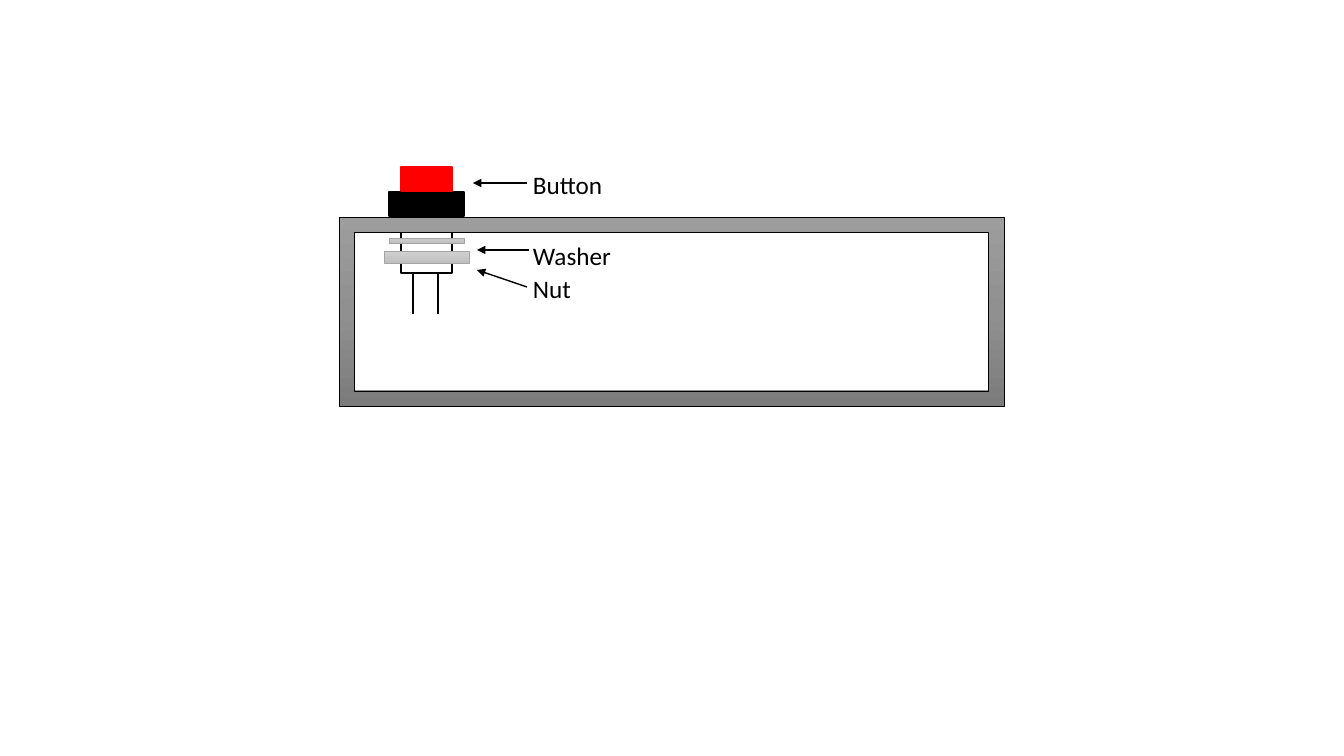
from copy import deepcopy
from dataclasses import dataclass

from lxml.etree import SubElement
from pptx import Presentation
from pptx.dml.color import RGBColor
from pptx.enum.shapes import MSO_CONNECTOR, MSO_SHAPE
from pptx.enum.text import MSO_AUTO_SIZE
from pptx.oxml.ns import qn
from pptx.util import Pt


def px(count):
    """Turn whole pixels into EMU."""
    return round(count * 914400 / 100.8)


@dataclass(frozen=True)
class Theme:
    """Colours, font and sizes of the diagram."""
    font: str = "Calibri"
    label_size: int = 18
    ink: str = "000000"
    cap: str = "FF0000"
    metal_edge: str = "A5A5A5"
    metal: tuple = ("D2D2D2", "C8C8C8", "C0C0C0")
    panel: tuple = ("9D9D9D", "909090", "7C7C7C")
    thin: float = 0.5
    regular: float = 1


class Diagram:
    """Draws themed elements on the current page."""

    def __init__(self, page, theme):
        self.page = page
        self.theme = theme

    def box(self, area, fill, edge, weight, kind=MSO_SHAPE.RECTANGLE):
        """Add a shape filled with one colour, a gradient or nothing."""
        box = self.page.shapes.add_shape(kind, *map(px, area))
        box.shadow.inherit = False
        if fill is None:
            box.fill.background()
        elif isinstance(fill, tuple):
            self.shade(box, fill)
        else:
            box.fill.solid()
            box.fill.fore_color.rgb = RGBColor.from_string(fill)
        box.line.color.rgb = RGBColor.from_string(edge)
        box.line.width = Pt(weight)
        return box

    def shade(self, box, colours):
        """Fill a shape with evenly spaced stops from top to bottom."""
        box.fill.gradient()
        box.fill.gradient_angle = 270
        stops = box.element.spPr.find(".//" + qn("a:gsLst"))
        stops.append(deepcopy(stops[0]))
        for index, stop in enumerate(box.fill.gradient_stops):
            stop.position = index / (len(colours) - 1)
            stop.color.rgb = RGBColor.from_string(colours[index])

    def terminals(self, area):
        """Add a one-cell table whose side borders are the two pins."""
        table = self.page.shapes.add_table(1, 1, *map(px, area)).table
        table.first_row = table.horz_banding = False
        cell = table.cell(0, 0)
        borders = cell._tc.get_or_add_tcPr()
        for side in ("L", "R", "T", "B"):
            border = SubElement(borders, qn(f"a:ln{side}"))
            if side in ("L", "R"):
                border.set("w", str(Pt(self.theme.regular)))
                fill = SubElement(border, qn("a:solidFill"))
                SubElement(fill, qn("a:srgbClr")).set("val", self.theme.ink)
            else:
                SubElement(border, qn("a:noFill"))
        cell.fill.background()

    def labels(self, area, entries):
        """Add a text box of labels, each with its gap above in points."""
        frame = self.page.shapes.add_textbox(*map(px, area)).text_frame
        frame.word_wrap = False
        frame.auto_size = MSO_AUTO_SIZE.SHAPE_TO_FIT_TEXT
        for index, (text, gap) in enumerate(entries):
            para = frame.add_paragraph() if index else frame.paragraphs[0]
            para.space_before = Pt(gap)
            span = para.add_run()
            span.text = text
            span.font.name = self.theme.font
            span.font.size = Pt(self.theme.label_size)
            span.font.color.rgb = RGBColor.from_string(self.theme.ink)

    def arrow(self, *ends):
        """Add a straight arrow pointing at its second end."""
        arrow = self.page.shapes.add_connector(MSO_CONNECTOR.STRAIGHT, *map(px, ends))
        arrow.line.color.rgb = RGBColor.from_string(self.theme.ink)
        arrow.line.width = Pt(self.theme.regular)
        SubElement(arrow.line._get_or_add_ln(), qn("a:tailEnd")).set("type", "triangle")
        SubElement(arrow.element.spPr, qn("a:effectLst"))


def main():
    """Build the push button mounting diagram."""
    deck = Presentation()
    deck.slide_width, deck.slide_height = px(1344), px(756)
    theme = Theme()
    diagram = Diagram(deck.slides.add_slide(deck.slide_layouts[6]), theme)

    diagram.box((389, 192, 75, 24), theme.ink, theme.ink, theme.regular)
    diagram.box((401, 216, 51, 57), None, theme.ink, theme.regular)
    diagram.box((401, 167, 51, 24), theme.cap, theme.cap, theme.regular)
    panel = diagram.box((339, 217, 665, 189), theme.panel, theme.ink, theme.thin, MSO_SHAPE.FRAME)
    panel.adjustments[0] = 0.08
    for ring in ((389, 238, 75, 5), (384, 251, 85, 12)):
        diagram.box(ring, theme.metal, theme.metal_edge, theme.thin)
    diagram.terminals((413, 273, 25, 41))

    diagram.labels((523, 164, 99, 146), (("Button", 0), ("Washer", 29), ("Nut", 2.4)))
    for ends in ((527, 183, 473, 183), (529, 250, 477, 250), (527, 287, 477, 270)):
        diagram.arrow(*ends)
    deck.save("out.pptx")


if __name__ == "__main__":
    main()
